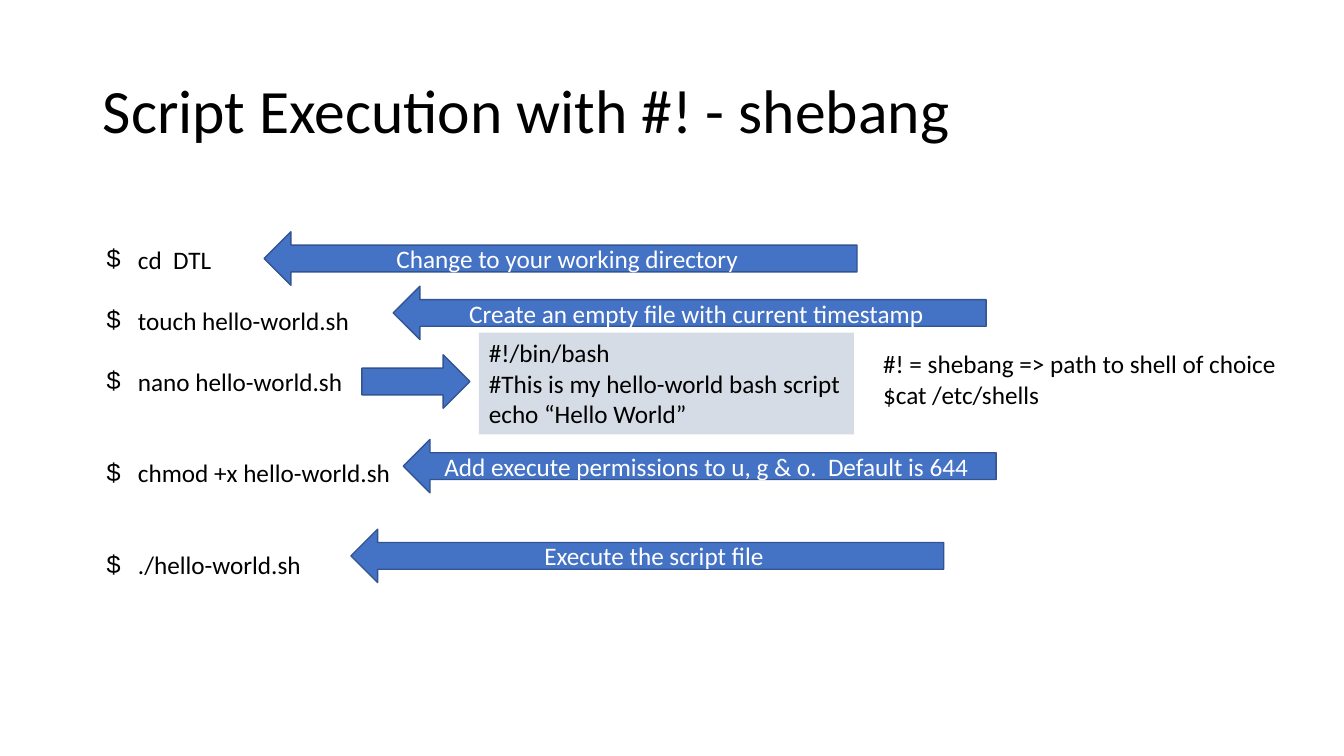
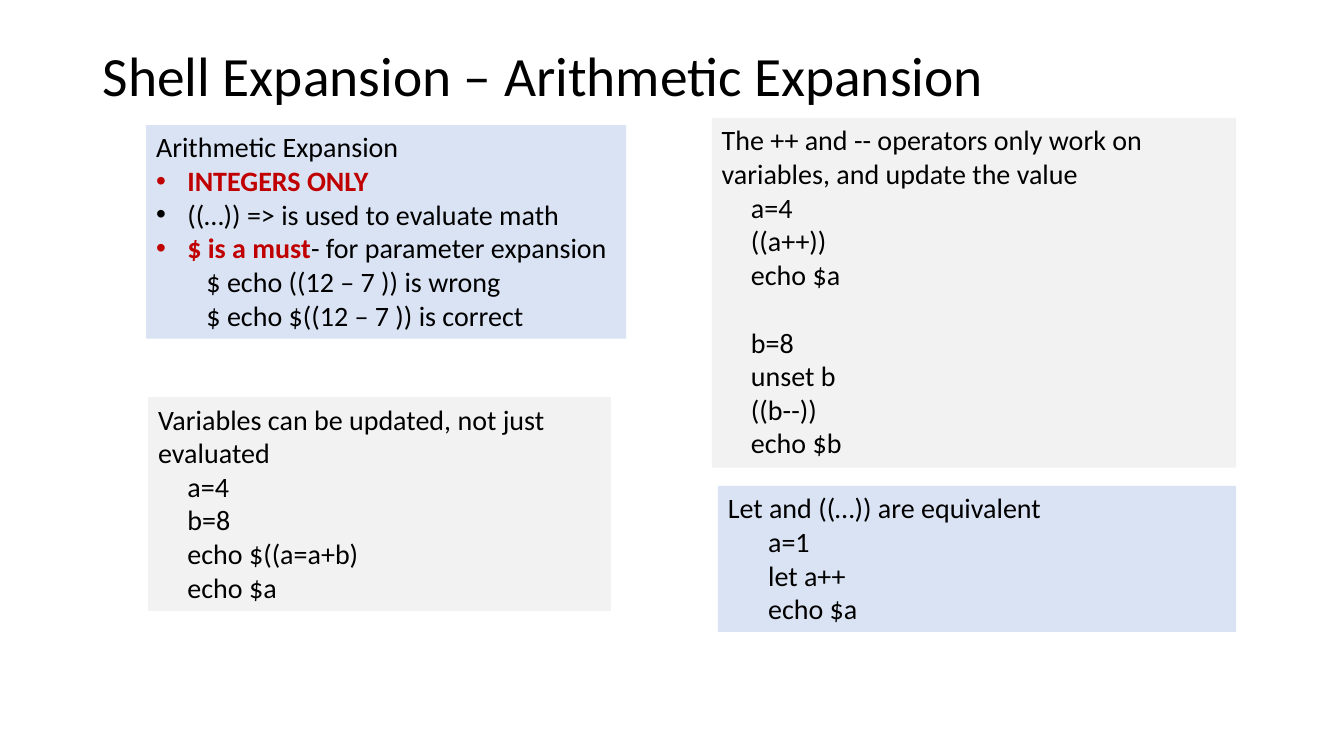
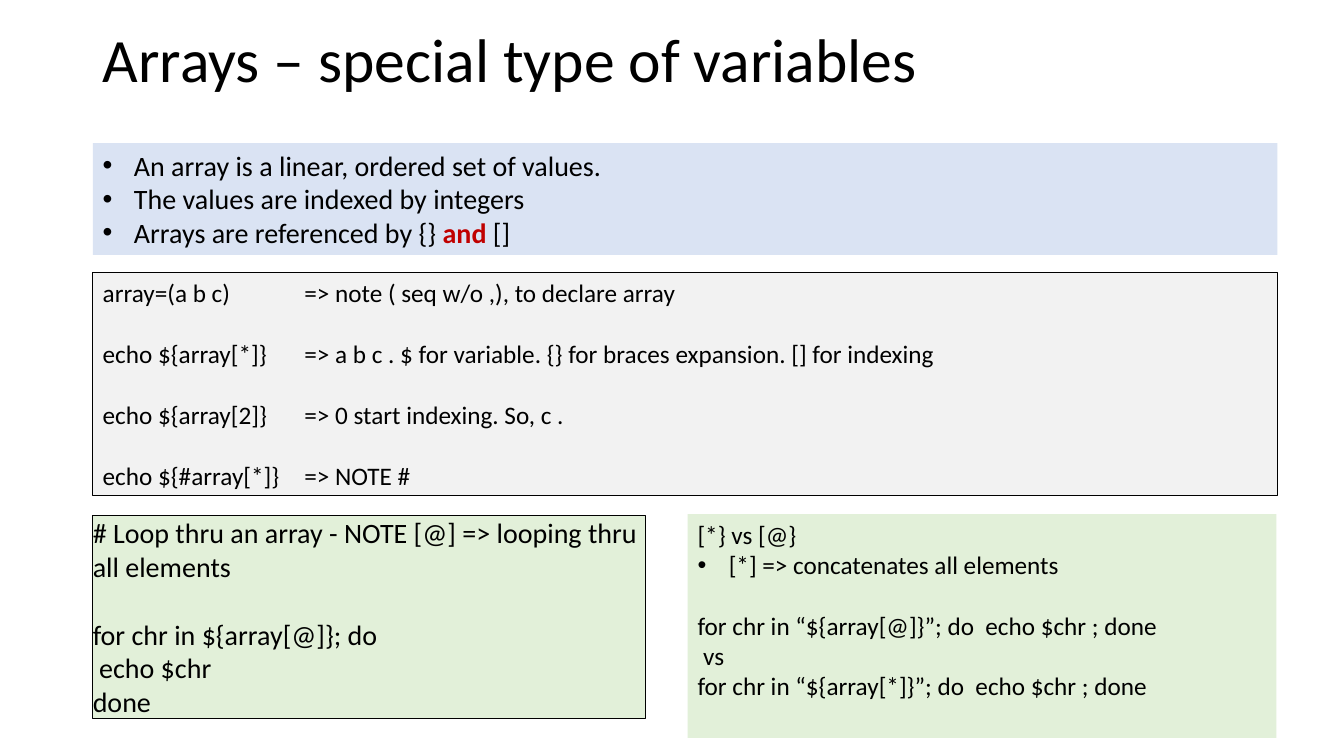
from dataclasses import dataclass

from lxml.etree import SubElement
from pptx import Presentation
from pptx.dml.color import RGBColor
from pptx.enum.shapes import MSO_SHAPE
from pptx.enum.text import MSO_ANCHOR, PP_ALIGN
from pptx.oxml.ns import qn
from pptx.util import Inches, Pt

FONT = "Calibri"
LINE_HEIGHT = 1.22
HANG = 0.31
COLOURS = {
    "text": "000000",
    "white": "FFFFFF",
    "accent": "C00000",
    "arrow": "4472C4",
    "arrow_edge": "325491",
    "slate": "D6DCE5",
    "blue": "DAE3F3",
    "grey": "F2F2F2",
    "green": "E2F0D9",
}


@dataclass
class Line:
    """One paragraph; text is a string or a tuple of (text, is_accent) spans."""

    text: str | tuple
    indent: float = 0
    bullet: str = ""
    blank_lines: int = 0
    tab: float = 0


def colour(name):
    """Return the named colour."""
    return RGBColor.from_string(COLOURS[name])


def style_span(span, size, name="text", bold=False):
    """Set the font of a run."""
    span.font.name = FONT
    span.font.size = Pt(size)
    span.font.bold = bold
    span.font.color.rgb = colour(name)


def fill_paragraph(para, line, size):
    """Write a line with its spacing, indent, bullet and tab stop."""
    spans = ((line.text, False),) if isinstance(line.text, str) else line.text
    for text, is_accent in spans:
        span = para.add_run()
        span.text = text
        style_span(span, size, "accent" if is_accent else "text", is_accent)
    if line.blank_lines:
        para.space_before = Pt(round(line.blank_lines * size * LINE_HEIGHT, 1))
    properties = para._p.get_or_add_pPr()
    if line.bullet:
        properties.set("marL", str(Inches(HANG)))
        properties.set("indent", str(-Inches(HANG)))
        SubElement(properties, qn("a:buFont"), typeface="Arial")
        SubElement(properties, qn("a:buChar"), char=line.bullet)
    elif line.indent:
        properties.set("marL", str(Inches(line.indent)))
    if line.tab:
        stops = SubElement(properties, qn("a:tabLst"))
        SubElement(stops, qn("a:tab"), pos=str(Inches(line.tab)), algn="l")


def add_title(deck, text, top, height, size=44):
    """Add a title-only slide and place its title."""
    page = deck.slides.add_slide(deck.slide_layouts[5])
    title = page.shapes.title
    title.left, title.top = Inches(0.92), Inches(top)
    title.width, title.height = Inches(11.5), Inches(height)
    title.text_frame.text = text
    title.text_frame.vertical_anchor = MSO_ANCHOR.MIDDLE
    para = title.text_frame.paragraphs[0]
    para.alignment = PP_ALIGN.LEFT
    para.line_spacing = 0.9
    style_span(para.runs[0], size)
    return page


def add_panel(page, place, lines, size, fill=None, outlined=False):
    """Add a text box, filled and outlined on request."""
    box = page.shapes.add_textbox(*map(Inches, place))
    if fill:
        box.fill.solid()
        box.fill.fore_color.rgb = colour(fill)
    if outlined:
        box.line.color.rgb = colour("text")
        box.line.width = Pt(0.75)
    frame = box.text_frame
    frame.word_wrap = True
    for index, line in enumerate(lines):
        para = frame.add_paragraph() if index else frame.paragraphs[0]
        fill_paragraph(para, line, size)
    return box


def add_arrow(page, left, top, text="", width=5.88, kind=MSO_SHAPE.LEFT_ARROW):
    """Add a block arrow with an optional centred label."""
    arrow = page.shapes.add_shape(
        kind, Inches(left), Inches(top), Inches(width), Inches(0.53)
    )
    arrow.shadow.inherit = False
    arrow.fill.solid()
    arrow.fill.fore_color.rgb = colour("arrow")
    arrow.line.color.rgb = colour("arrow_edge")
    arrow.line.width = Pt(1)
    if text:
        frame = arrow.text_frame
        frame.text = text
        frame.word_wrap = True
        frame.vertical_anchor = MSO_ANCHOR.MIDDLE
        frame.paragraphs[0].alignment = PP_ALIGN.CENTER
        style_span(frame.paragraphs[0].runs[0], 18, "white")


def code_lines(texts, indent=0.0):
    """Return plain lines that share an indent."""
    return [Line(text, indent) for text in texts]


def build_shebang(deck):
    """Build the script execution slide."""
    page = add_title(deck, "Script Execution with #! - shebang", 0.4, 1.45)
    commands = [
        ("cd  DTL", 0),
        ("touch hello-world.sh", 1),
        ("nano hello-world.sh", 1),
        ("chmod +x hello-world.sh", 2),
        ("./hello-world.sh", 2),
    ]
    lines = [Line(text, bullet="$", blank_lines=gap) for text, gap in commands]
    add_panel(page, (0.96, 2.37, 3.05, 3.43), lines, 18)
    script = ["#!/bin/bash", "#This is my hello-world bash script", "echo “Hello World”"]
    add_panel(page, (4.75, 3.3, 3.72, 1.01), code_lines(script), 18, "slate")
    for left, top, text in [
        (2.62, 2.3, "Change to your working directory"),
        (3.9, 2.84, "Create an empty file with current timestamp"),
        (4, 4.36, "Add execute permissions to u, g & o.  Default is 644"),
        (3.48, 5.25, "Execute the script file"),
    ]:
        add_arrow(page, left, top, text)
    add_arrow(page, 3.59, 3.52, width=1.07, kind=MSO_SHAPE.RIGHT_ARROW)
    note = ["#! = shebang => path to shell of choice", "$cat /etc/shells"]
    add_panel(page, (8.66, 3.41, 4.15, 0.71), code_lines(note), 18)


def build_arithmetic(deck):
    """Build the arithmetic expansion slide."""
    page = add_title(deck, "Shell Expansion – Arithmetic Expansion", 0.4, 0.75, 39.6)
    rules = [
        Line("Arithmetic Expansion"),
        Line((("INTEGERS ONLY", True),), bullet="•"),
        Line("((…)) => is used to evaluate math", bullet="•"),
        Line((("$ is a must", True), ("- for parameter expansion", False)), bullet="•"),
        *code_lines(["$ echo ((12 – 7 )) is wrong", "$ echo $((12 – 7 )) is correct"], 0.6),
    ]
    rules[-2].indent = rules[-1].indent = 0.5
    add_panel(page, (1.45, 1.24, 4.76, 2.12), rules, 20, "blue")
    updates = [
        Line("Variables can be updated, not just evaluated"),
        *code_lines(["a=4", "b=8", "echo $((a=a+b)", "echo $a"], 0.29),
    ]
    add_panel(page, (1.47, 3.94, 4.59, 2.12), updates, 20, "grey")
    operators = [
        Line("The ++ and -- operators only work on variables, and update the value"),
        *code_lines(["a=4", "((a++))", "echo $a"], 0.29),
        Line("b=8", 0.29, blank_lines=1),
        *code_lines(["unset b", "((b--))", "echo $b"], 0.29),
    ]
    add_panel(page, (7.06, 1.17, 5.2, 3.47), operators, 20, "grey")
    equivalents = [
        Line("Let and ((…)) are equivalent"),
        *code_lines(["a=1", "let a++", "echo $a"], 0.4),
    ]
    add_panel(page, (7.12, 4.82, 5.14, 1.45), equivalents, 20, "blue")


def build_arrays(deck):
    """Build the arrays slide."""
    page = add_title(deck, "Arrays – special type of variables", 0.11, 1.03)
    facts = [
        "An array is a linear, ordered set of values.",
        "The values are indexed by integers",
        (("Arrays are referenced by {} ", False), ("and", True), (" []", False)),
    ]
    lines = [Line(fact, bullet="•") for fact in facts]
    add_panel(page, (0.92, 1.42, 11.75, 1.11), lines, 20, "blue")
    examples = [
        ("array=(a b c)", "note ( seq w/o ,), to declare array"),
        ("echo ${array[*]}", "a b c . $ for variable. {} for braces expansion. [] for indexing"),
        ("echo ${array[2]}", "0 start indexing. So, c ."),
        ("echo ${#array[*]}", "NOTE #"),
    ]
    lines = [
        Line(f"{code}\t=> {meaning}", blank_lines=min(index, 1), tab=2)
        for index, (code, meaning) in enumerate(examples)
    ]
    add_panel(page, (0.92, 2.7, 11.75, 2.22), lines, 18, "grey", outlined=True)
    loop = [
        Line("# Loop thru an array - NOTE [@] => looping thru all elements"),
        Line("for chr in ${array[@]}; do", blank_lines=1),
        *code_lines([" echo $chr", "done"]),
    ]
    box = add_panel(page, (0.92, 5.11, 5.48, 2.02), loop, 20, "green", outlined=True)
    frame = box.text_frame
    frame.vertical_anchor = MSO_ANCHOR.MIDDLE
    frame.margin_left = frame.margin_right = frame.margin_top = frame.margin_bottom = 0
    comparison = [
        Line("[*} vs [@}"),
        Line("[*] => concatenates all elements", bullet="•"),
        Line("for chr in “${array[@]}”; do  echo $chr ; done", blank_lines=1),
        *code_lines([" vs", "for chr in “${array[*]}”; do  echo $chr ; done"]),
    ]
    add_panel(page, (6.82, 5.1, 5.84, 2.22), comparison, 18, "green")


def main():
    """Build and save the deck."""
    deck = Presentation()
    deck.slide_width, deck.slide_height = Inches(13.33), Inches(7.5)
    build_shebang(deck)
    build_arithmetic(deck)
    build_arrays(deck)
    deck.save("out.pptx")


if __name__ == "__main__":
    main()
